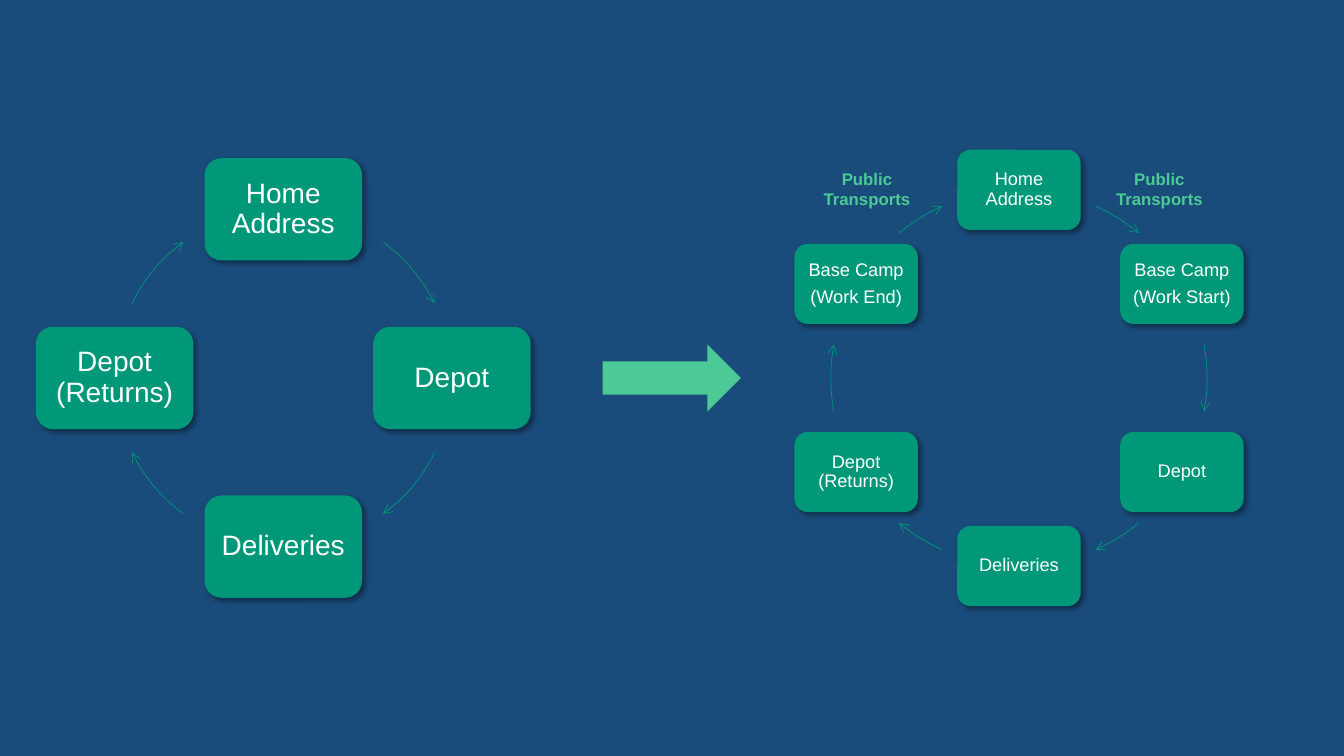
from math import cos, radians, sin

from lxml import etree
from pptx import Presentation
from pptx.dml.color import RGBColor
from pptx.enum.shapes import MSO_SHAPE
from pptx.enum.text import MSO_ANCHOR, PP_ALIGN
from pptx.oxml.ns import qn
from pptx.util import Cm, Pt

NAVY = RGBColor(0x1A, 0x4C, 0x7B)
TEAL = RGBColor(0x00, 0x98, 0x79)
MINT = RGBColor(0x4B, 0xCA, 0x95)
WHITE = RGBColor(0xFF, 0xFF, 0xFF)
ROUNDED = MSO_SHAPE.ROUNDED_RECTANGLE
RIGHT_ARROW = MSO_SHAPE.RIGHT_ARROW
ARC = MSO_SHAPE.ARC
MIDDLE = MSO_ANCHOR.MIDDLE
TOP = MSO_ANCHOR.TOP
CENTER = PP_ALIGN.CENTER
FONT = "Arial"

SLIDE_WIDTH, SLIDE_HEIGHT = 33.87, 19.05
CENTER_Y = SLIDE_HEIGHT / 2

CYCLES = [
    {
        "steps": ["Home Address", "Depot", "Deliveries", "Depot (Returns)"],
        "center_x": 7.14, "radius": 4.25, "node": (3.97, 2.58),
        "inset": 0.2, "size": 20,
        "arcs": [(-53.7, -26.3), (26.3, 53.7), (126.3, 153.7), (206.3, 233.7)],
    },
    {
        "steps": ["Home Address", "Base Camp\n(Work Start)", "Depot",
                  "Deliveries", "Depot (Returns)", "Base Camp\n(Work End)"],
        "center_x": 25.68, "radius": 4.74, "node": (3.11, 2.02),
        "inset": 0.13, "size": 13,
        "arcs": [(-65.9, -50.4), (-10.2, 10.2), (50.4, 65.9),
                 (114.1, 129.6), (169.8, 190.2), (230.4, 245.9)],
    },
]
TRANSPORT_LABEL = "Public Transports"
LABEL_CENTERS_X = [21.85, 29.22]
LABEL_TOP, LABEL_WIDTH, LABEL_HEIGHT = 4.24, 2.77, 1.02
ARROW_LEFT, ARROW_WIDTH, ARROW_HEIGHT = 15.19, 3.48, 1.68


def add_centered(shapes, kind, center_x, center_y, width, height):
    shape = shapes.add_shape(kind, Cm(center_x - width / 2), Cm(center_y - height / 2),
                             Cm(width), Cm(height))
    shape.shadow.inherit = False
    return shape


def fill_shape(shape, color):
    shape.fill.solid()
    shape.fill.fore_color.rgb = color
    shape.line.fill.background()


def add_soft_shadow(shape):
    effects = shape.element.spPr.find(qn("a:effectLst"))
    shadow = etree.SubElement(effects, qn("a:outerShdw"), blurRad=str(Pt(4)),
                              dist=str(Pt(3)), dir="2700000", algn="tl", rotWithShape="0")
    color = etree.SubElement(shadow, qn("a:srgbClr"), val="000000")
    etree.SubElement(color, qn("a:alpha"), val="40000")


def write_text(shape, text, size, color, inset=0, anchor=TOP, bold=False):
    frame = shape.text_frame
    frame.text = text
    frame.word_wrap = True
    frame.vertical_anchor = anchor
    frame.margin_left = frame.margin_right = Cm(inset)
    frame.margin_top = frame.margin_bottom = Cm(inset)
    for paragraph in frame.paragraphs:
        paragraph.alignment = CENTER
        for run in paragraph.runs:
            run.font.name = FONT
            run.font.size = Pt(size)
            run.font.bold = bold
            run.font.color.rgb = color


def add_arc_arrow(shapes, cycle, start, end):
    diameter = 2 * cycle["radius"]
    arc = add_centered(shapes, ARC, cycle["center_x"], CENTER_Y, diameter, diameter)
    arc.adjustments[0] = start % 360 * 0.6
    arc.adjustments[1] = end % 360 * 0.6
    arc.fill.background()
    arc.line.color.rgb = TEAL
    arc.line.width = Pt(0.5)
    line = arc.element.spPr.find(qn("a:ln"))
    etree.SubElement(line, qn("a:tailEnd"), type="arrow")


def add_cycle(shapes, cycle):
    steps = cycle["steps"]
    for index, step in enumerate(steps):
        angle = radians(360 * index / len(steps) - 90)
        node = add_centered(shapes, ROUNDED,
                            cycle["center_x"] + cycle["radius"] * cos(angle),
                            CENTER_Y + cycle["radius"] * sin(angle), *cycle["node"])
        fill_shape(node, TEAL)
        add_soft_shadow(node)
        write_text(node, step, cycle["size"], WHITE, cycle["inset"], MIDDLE)
        for paragraph in node.text_frame.paragraphs:
            paragraph.line_spacing = 0.9
            paragraph.space_after = Pt(5)
    for start, end in cycle["arcs"]:
        add_arc_arrow(shapes, cycle, start, end)


def main():
    presentation = Presentation()
    presentation.slide_width = Cm(SLIDE_WIDTH)
    presentation.slide_height = Cm(SLIDE_HEIGHT)
    slide = presentation.slides.add_slide(presentation.slide_layouts[6])
    slide.background.fill.solid()
    slide.background.fill.fore_color.rgb = NAVY

    for cycle in CYCLES:
        add_cycle(slide.shapes, cycle)

    arrow = add_centered(slide.shapes, RIGHT_ARROW, ARROW_LEFT + ARROW_WIDTH / 2,
                         CENTER_Y, ARROW_WIDTH, ARROW_HEIGHT)
    fill_shape(arrow, MINT)

    for center_x in LABEL_CENTERS_X:
        label = slide.shapes.add_textbox(Cm(center_x - LABEL_WIDTH / 2), Cm(LABEL_TOP),
                                         Cm(LABEL_WIDTH), Cm(LABEL_HEIGHT))
        write_text(label, TRANSPORT_LABEL, 12, MINT, bold=True)

    presentation.save("out.pptx")


if __name__ == "__main__":
    main()
